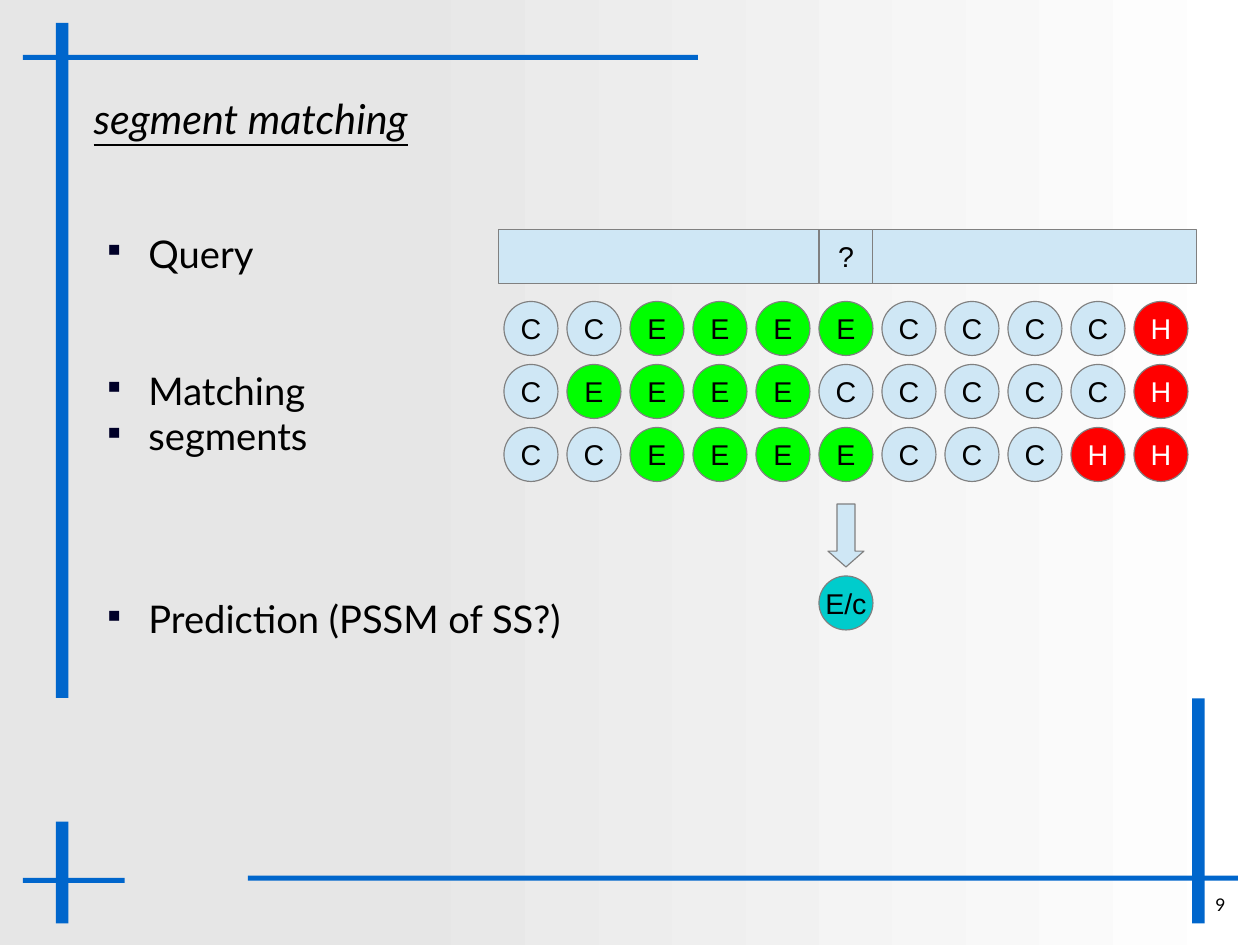
from lxml.etree import SubElement
from pptx import Presentation
from pptx.dml.color import RGBColor
from pptx.enum.shapes import MSO_SHAPE
from pptx.enum.text import MSO_ANCHOR, PP_ALIGN
from pptx.oxml.ns import qn
from pptx.util import Cm, Pt

COLORS = {
    "frame": "0066CC", "pale": "CFE7F5", "outline": "808080",
    "strand": "00FF00", "helix": "FF0000", "prediction": "00CCCC",
    "black": "000000", "white": "FFFFFF", "bullet": "000028", "shade": "E6E6E6",
}
STATES = {"C": ("pale", "black"), "E": ("strand", "black"), "H": ("helix", "white")}
SEGMENTS = ["CCEEEECCCCH", "CEEEECCCCCH", "CCEEEECCCHH"]
FRAME_BARS = [
    (26.49, 15.52, 0.28, 5), (5.51, 19.46, 22, 0.11),
    (1.24, 0.51, 0.28, 15), (0.51, 1.22, 15, 0.11),
    (1.24, 18.26, 0.28, 2.26), (0.51, 19.51, 2.26, 0.11),
]
LABELS = [("Query", 0), ("Matching", 2), ("segments", 0), ("Prediction (PSSM of SS?)", 3)]
LABEL_LINE = 28.8
CELL, STEP = 1.2, 1.4
GRID_LEFT, GRID_TOP = 11.2, 6.7
QUERY_TOP = 5.1
TARGET_LEFT = GRID_LEFT + 5 * STEP


def color(name):
    return RGBColor.from_string(COLORS[name])


def write(para, text, size=18, font="Arial", ink="black", align=PP_ALIGN.LEFT,
          italic=False, underline=False):
    para.alignment = align
    span = para.add_run()
    span.text = text
    span.font.size = Pt(size)
    span.font.name = font
    span.font.color.rgb = color(ink)
    span.font.italic = italic
    span.font.underline = underline


def add_bullet(para):
    props = para._p.get_or_add_pPr()
    props.set("marL", str(Cm(1.2)))
    props.set("indent", str(Cm(-0.9)))
    tint = SubElement(props, qn("a:buClr"))
    SubElement(tint, qn("a:srgbClr"), val=COLORS["bullet"])
    SubElement(props, qn("a:buSzPct"), val="45000")
    SubElement(props, qn("a:buChar"), char="■")


class SlideBuilder:
    def __init__(self, page, font="Lato"):
        self.page = page
        self.font = font

    def background(self):
        fill = self.page.background.fill
        fill.gradient()
        fill.gradient_angle = 0
        for stop, name, position in zip(fill.gradient_stops, ("shade", "white"), (0.3, 1)):
            stop.color.rgb = color(name)
            stop.position = position

    def shape(self, kind, place, fill, outline="outline", text="", ink="black"):
        shape = self.page.shapes.add_shape(kind, *map(Cm, place))
        shape.shadow.inherit = False
        shape.fill.solid()
        shape.fill.fore_color.rgb = color(fill)
        if outline:
            shape.line.color.rgb = color(outline)
            shape.line.width = Pt(0)
        else:
            shape.line.fill.background()
        if text:
            frame = shape.text_frame
            frame.word_wrap = False
            frame.vertical_anchor = MSO_ANCHOR.MIDDLE
            write(frame.paragraphs[0], text, ink=ink, align=PP_ALIGN.CENTER)
        return shape

    def text_box(self, place, anchor=MSO_ANCHOR.TOP):
        frame = self.page.shapes.add_textbox(*map(Cm, place)).text_frame
        frame.word_wrap = True
        frame.vertical_anchor = anchor
        frame.margin_left = frame.margin_right = 0
        frame.margin_top = frame.margin_bottom = 0
        return frame

    def line_of_text(self, place, text, anchor=MSO_ANCHOR.TOP, **style):
        write(self.text_box(place, anchor).paragraphs[0], text, font=self.font, **style)

    def bullets(self, place, labels):
        """Write the labels, each with the number of empty lines left above it."""
        frame = self.text_box(place)
        for index, (label, gap) in enumerate(labels):
            para = frame.add_paragraph() if index else frame.paragraphs[0]
            write(para, label, size=24, font=self.font)
            para.space_before = Pt(gap * LABEL_LINE)
            add_bullet(para)

    def segments(self, rows):
        for row, states in enumerate(rows):
            for column, state in enumerate(states):
                fill, ink = STATES[state]
                place = (GRID_LEFT + column * STEP, GRID_TOP + row * STEP, CELL, CELL)
                self.shape(MSO_SHAPE.OVAL, place, fill, text=state, ink=ink)


def main():
    deck = Presentation()
    deck.slide_width, deck.slide_height = Cm(28), Cm(21)
    page = deck.slides.add_slide(deck.slide_layouts[6])
    builder = SlideBuilder(page)

    builder.background()
    for place in FRAME_BARS:
        builder.shape(MSO_SHAPE.RECTANGLE, place, "frame", outline=None)
    builder.line_of_text((26.77, 19.87, 0.71, 0.76), "9", size=11, align=PP_ALIGN.CENTER)
    builder.line_of_text((2.08, 1.55, 23.72, 2.16), "segment matching",
                         anchor=MSO_ANCHOR.MIDDLE, size=26, italic=True, underline=True)

    builder.shape(MSO_SHAPE.RECTANGLE, (11.07, QUERY_TOP, 15.52, CELL), "pale")
    builder.shape(MSO_SHAPE.RECTANGLE, (TARGET_LEFT, QUERY_TOP, CELL, CELL), "pale", text="?")
    builder.segments(SEGMENTS)
    arrow = builder.shape(MSO_SHAPE.DOWN_ARROW, (TARGET_LEFT + 0.2, 11.2, 0.8, 1.4), "pale")
    arrow.adjustments[1] = 0.44
    builder.shape(MSO_SHAPE.OVAL, (TARGET_LEFT, 12.8, CELL, CELL), "prediction", text="E/c")
    builder.bullets((2.1, 5.11, 23.72, 14.07), LABELS)

    deck.save("out.pptx")


if __name__ == "__main__":
    main()
